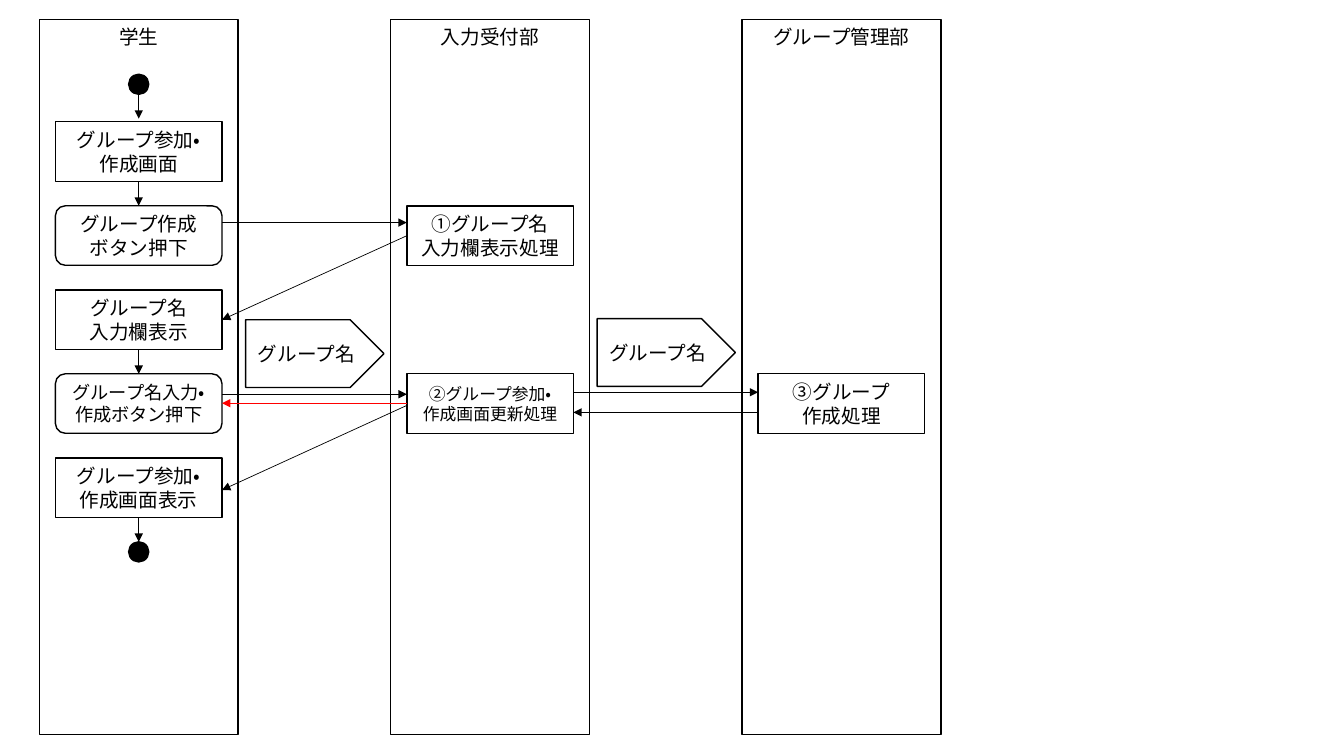
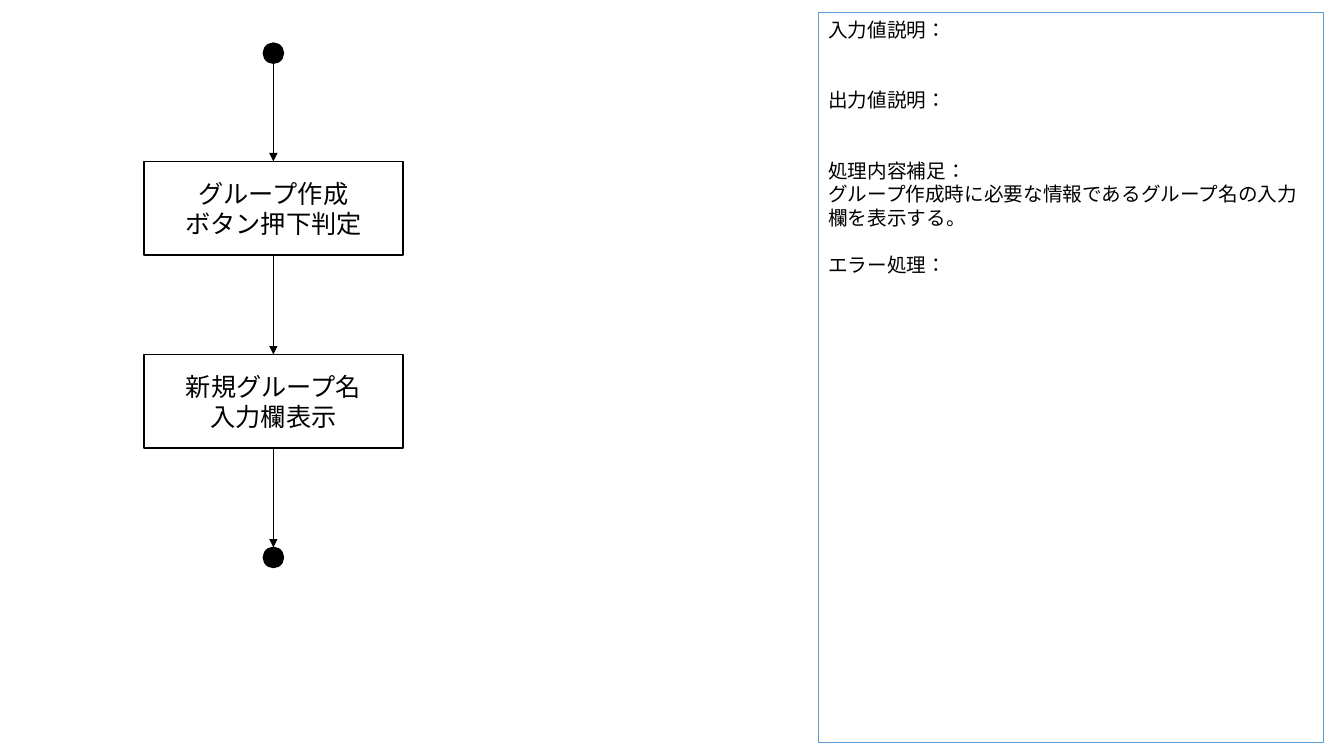
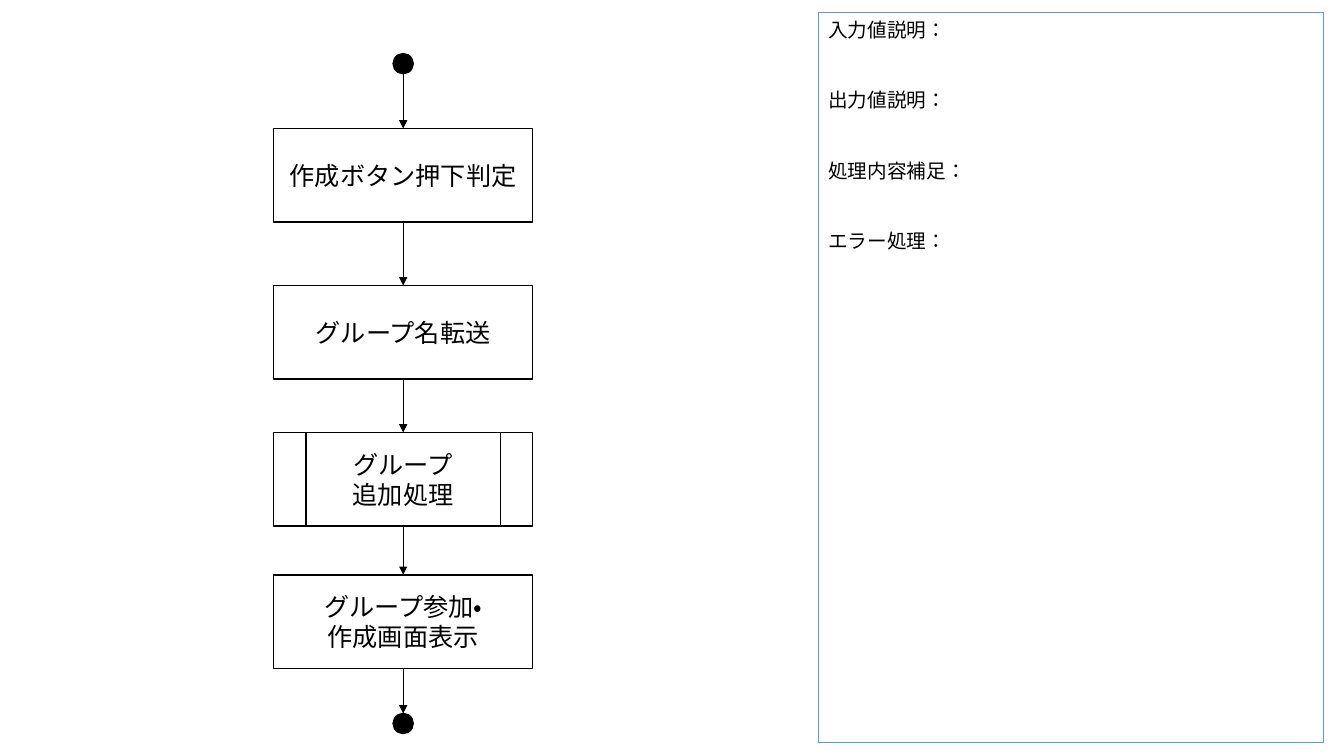
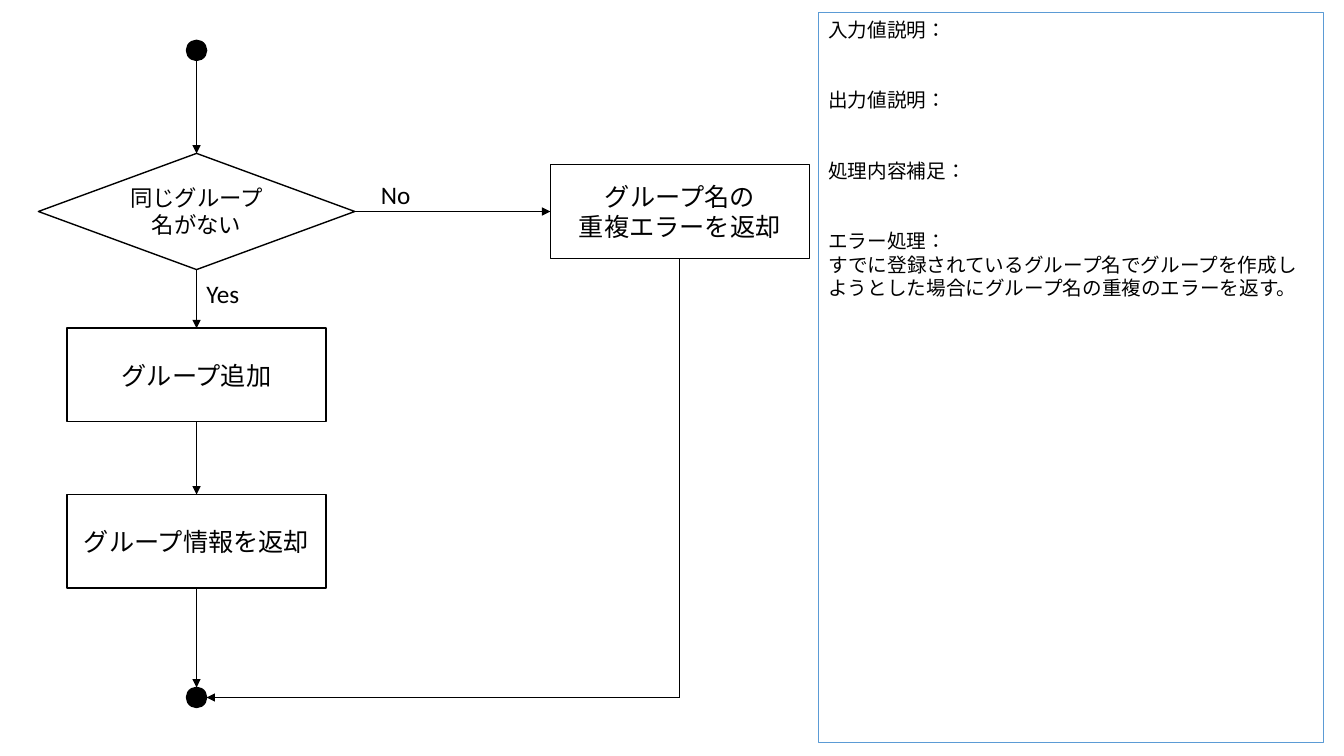
import lxml.etree
import pptx
import pptx.dml.color
import pptx.enum.lang
import pptx.enum.shapes
import pptx.enum.text
import pptx.oxml.ns
import pptx.util

Pt = pptx.util.Pt
RGBColor = pptx.dml.color.RGBColor
SHAPE = pptx.enum.shapes.MSO_SHAPE
ALIGN = pptx.enum.text.PP_ALIGN
ANCHOR = pptx.enum.text.MSO_ANCHOR
JAPANESE = pptx.enum.lang.MSO_LANGUAGE_ID.JAPANESE
qn = pptx.oxml.ns.qn

BLACK = RGBColor(0, 0, 0)
WHITE = RGBColor(255, 255, 255)
BLUE = RGBColor(0x5B, 0x9B, 0xD5)
RED = RGBColor(255, 0, 0)

DOT = 14.4
LINE_HEIGHT = 16.8
PROCESS_W, PROCESS_H = 185, 66.8
DECISION_W, DECISION_H = 226, 83
LANE_W, LANE_H, LANE_STEP = 142, 510.5, 251
STEP_W, STEP_H, ROW_STEP = 119, 42.5, 60
PLATE_W, PLATE_H = 98.8, 48.4

CENTERED = {"size": 18, "name": "Calibri", "align": ALIGN.CENTER, "anchor": ANCHOR.MIDDLE, "margin": 7.2}
STEP = {**CENTERED, "size": 14, "margin": 2}
LANE_TITLE = {**STEP, "name": "Arial", "anchor": ANCHOR.TOP}
NOTE = {**CENTERED, "size": 14, "align": ALIGN.LEFT, "anchor": ANCHOR.TOP}
LABEL = {**NOTE, "size": 18}


def write(sp, lines, style, gaps=None):
    tf = sp.text_frame
    margin = Pt(style["margin"])
    frame = {"word_wrap": True, "vertical_anchor": style["anchor"],
             "margin_left": margin, "margin_right": margin}
    for name, value in frame.items():
        setattr(tf, name, value)
    font = {"size": Pt(style["size"]), "name": style["name"], "language_id": JAPANESE}
    for i, line in enumerate(lines):
        p = tf.paragraphs[0] if i == 0 else tf.add_paragraph()
        p.alignment = style["align"]
        if gaps and gaps[i]:
            p.space_before = Pt(gaps[i] * LINE_HEIGHT)
        r = p.add_run()
        r.text = line
        r.font.color.rgb = BLACK
        for name, value in font.items():
            setattr(r.font, name, value)


def draw(s, kind, x, y, w, h, fill=WHITE, line=BLACK):
    sp = s.shapes.add_shape(kind, Pt(x), Pt(y), Pt(w), Pt(h))
    sp.shadow.inherit = False
    sp.fill.solid()
    sp.fill.fore_color.rgb = fill
    sp.line.color.rgb = line
    sp.line.width = Pt(1)
    return sp


def box(s, kind, x, y, w, h, text, style=CENTERED):
    write(draw(s, kind, x, y, w, h), text.split("\n"), style)


def dot(s, cx, cy):
    draw(s, SHAPE.OVAL, cx - DOT / 2, cy - DOT / 2, DOT, DOT, fill=BLACK)


def arrow(s, x1, y1, x2, y2, color=BLACK, head=True):
    straight = pptx.enum.shapes.MSO_CONNECTOR.STRAIGHT
    c = s.shapes.add_connector(straight, Pt(x1), Pt(y1), Pt(x2), Pt(y2))
    c.line.color.rgb = color
    c.line.width = Pt(0.5)
    props = c.element.spPr
    if head:
        lxml.etree.SubElement(props.find(qn("a:ln")), qn("a:tailEnd"), type="triangle")
    lxml.etree.SubElement(props, qn("a:effectLst"))


def label(s, x, y, text):
    write(s.shapes.add_textbox(Pt(x), Pt(y), Pt(45), Pt(29)), [text], LABEL)


def flow(s, cx, start, steps, end):
    dot(s, cx, start)
    bottom = start + DOT / 2
    for kind, y, text in steps:
        decision = kind == SHAPE.FLOWCHART_DECISION
        w, h = (DECISION_W, DECISION_H) if decision else (PROCESS_W, PROCESS_H)
        style = {**CENTERED, "size": 16} if decision else CENTERED
        box(s, kind, cx - w / 2, y, w, h, text, style)
        arrow(s, cx, bottom, cx, y)
        bottom = y + h
    arrow(s, cx, bottom, cx, end - DOT / 2)
    dot(s, cx, end)


def notes_panel(s, x, y, w, h, detail="", error=""):
    entries = [("入力値説明：", 0), ("出力値説明：", 2), ("処理内容補足：", 2)]
    if detail:
        entries.append((detail, 0))
    entries.append(("エラー処理：", 1 if detail else 2))
    if error:
        entries.append((error, 0))
    lines, gaps = zip(*entries)
    write(draw(s, SHAPE.FLOWCHART_PROCESS, x, y, w, h, line=BLUE), lines, NOTE, gaps)


def lanes_slide(s, left, top):
    lane_x = [left + LANE_STEP * i for i in range(3)]
    step_x = [x + (LANE_W - STEP_W) / 2 for x in lane_x]
    step_right = [x + STEP_W for x in step_x]
    row_y = [top + 73 + ROW_STEP * i for i in range(5)]
    cx = left + LANE_W / 2
    start, end = row_y[0] - 26.8, row_y[4] + ROW_STEP + DOT / 2

    for x, title in zip(lane_x, ["学生", "入力受付部", "グループ管理部"]):
        box(s, SHAPE.RECTANGLE, x, top, LANE_W, LANE_H, title, LANE_TITLE)

    screen, action = SHAPE.RECTANGLE, SHAPE.ROUNDED_RECTANGLE
    for kind, lane, row, text, size in [
        (screen, 0, 0, "グループ参加・\n作成画面", 14),
        (action, 0, 1, "グループ作成\nボタン押下", 14),
        (screen, 0, 2, "グループ名\n入力欄表示", 14),
        (action, 0, 3, "グループ名入力・\n作成ボタン押下", 13),
        (screen, 0, 4, "グループ参加・\n作成画面表示", 14),
        (screen, 1, 1, "①グループ名\n入力欄表示処理", 14),
        (screen, 1, 3, "②グループ参加・\n作成画面更新処理", 12),
        (screen, 2, 3, "③グループ\n作成処理", 14),
    ]:
        box(s, kind, step_x[lane], row_y[row], STEP_W, STEP_H, text, {**STEP, "size": size})

    dot(s, cx, start)
    dot(s, cx, end)
    arrow(s, cx, start + DOT / 2, cx, row_y[0] - 2.2)
    for row in (0, 2, 4):
        arrow(s, cx, row_y[row] + STEP_H, cx, row_y[row] + ROW_STEP)

    for lane, y in [(0, 228.4), (1, 227.6)]:
        x = lane_x[lane] + LANE_W + 5.4
        box(s, SHAPE.PENTAGON, x, y, PLATE_W, PLATE_H, "グループ名", STEP)

    for x1, y1, x2, y2, color in [
        (step_right[0], 159, step_x[1], 159, BLACK),
        (step_x[1], 168.4, step_right[0], 228.4, BLACK),
        (step_x[1], 289.6, step_right[0], 350, BLACK),
        (step_right[1], 280.2, step_x[2], 280.2, BLACK),
        (step_x[2], 294.6, step_right[1], 294.6, BLACK),
        (step_right[0], 281.6, step_x[1], 281.6, BLACK),
        (step_x[1], 288, step_right[0], 288, RED),
    ]:
        arrow(s, x1, y1, x2, y2, color)


def duplicate_branch(s, cx, decision_y, end):
    x, elbow = 393.1, 393.1 + PROCESS_W / 2
    middle = decision_y + DECISION_H / 2
    box(s, SHAPE.FLOWCHART_PROCESS, x, middle - PROCESS_H / 2, PROCESS_W, PROCESS_H,
        "グループ名の\n重複エラーを返却")
    arrow(s, cx + DECISION_W / 2, middle, x, middle)
    arrow(s, elbow, middle + PROCESS_H / 2, elbow, end, head=False)
    arrow(s, elbow, end, cx + DOT / 2, end)
    label(s, cx, decision_y + 85.6, "Yes")
    label(s, cx + 124.6, decision_y + 15.2, "No")


prs = pptx.Presentation()
prs.slide_width, prs.slide_height = Pt(960), Pt(540)
blank = prs.slide_layouts[6]
PANEL = (584.6, 9, 360.8, 521.4)
PROCESS = SHAPE.FLOWCHART_PROCESS

lanes_slide(prs.slides.add_slide(blank), 28.1, 14)

s = prs.slides.add_slide(blank)
notes_panel(s, *PANEL, detail="グループ作成時に必要な情報であるグループ名の入力欄を表示する。")
flow(s, 195.3, 38, [
    (PROCESS, 115.2, "グループ作成\nボタン押下判定"),
    (PROCESS, 253.2, "新規グループ名\n入力欄表示"),
], 398.2)

s = prs.slides.add_slide(blank)
notes_panel(s, *PANEL)
flow(s, 288, 45.5, [
    (PROCESS, 91.8, "作成ボタン押下判定"),
    (PROCESS, 204, "グループ名転送"),
    (SHAPE.FLOWCHART_PREDEFINED_PROCESS, 309, "グループ\n追加処理"),
    (PROCESS, 410.6, "グループ参加・\n作成画面表示"),
], 516.8)

s = prs.slides.add_slide(blank)
notes_panel(s, *PANEL, error="すでに登録されているグループ名でグループを作成しようとした場合にグループ名の重複のエラーを返す。")
flow(s, 140.4, 36, [
    (SHAPE.FLOWCHART_DECISION, 109.6, "同じグループ名がない"),
    (PROCESS, 234.4, "グループ追加"),
    (PROCESS, 353.2, "グループ情報を返却"),
], 498.2)
duplicate_branch(s, 140.4, 109.6, 498.2)

prs.save("out.pptx")
